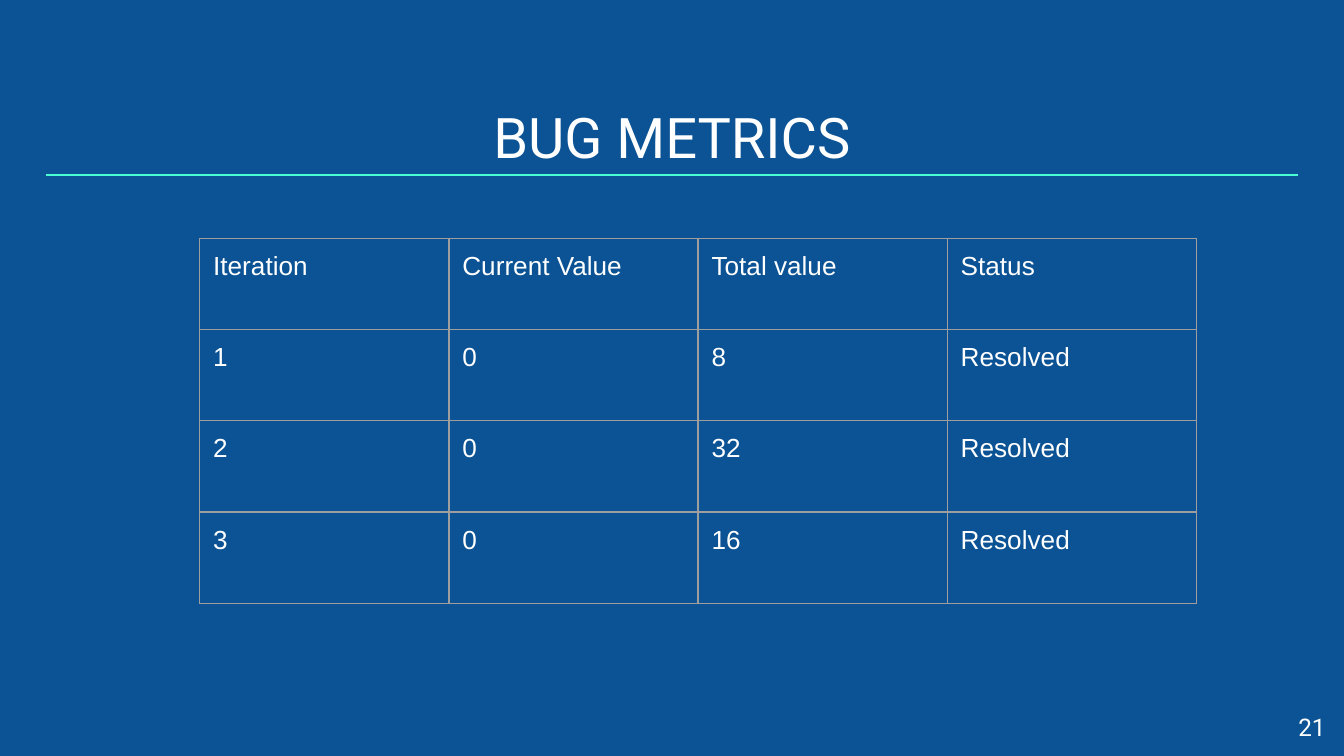
from dataclasses import dataclass

from lxml import etree
from pptx import Presentation
from pptx.dml.color import RGBColor
from pptx.enum.shapes import MSO_CONNECTOR
from pptx.enum.text import MSO_ANCHOR, PP_ALIGN
from pptx.oxml.ns import qn
from pptx.util import Pt

STRAIGHT = MSO_CONNECTOR.STRAIGHT
LEFT, CENTER, RIGHT = PP_ALIGN.LEFT, PP_ALIGN.CENTER, PP_ALIGN.RIGHT
MIDDLE, BOTTOM = MSO_ANCHOR.MIDDLE, MSO_ANCHOR.BOTTOM

BUG_METRICS = [
    ["Iteration", "Current Value", "Total value", "Status"],
    ["1", "0", "8", "Resolved"],
    ["2", "0", "32", "Resolved"],
    ["3", "0", "16", "Resolved"],
]


@dataclass(frozen=True)
class Theme:
    background: str = "0B5394"
    text: str = "FFFFFF"
    accent: str = "48FFD5"
    border: str = "9E9E9E"
    heading_font: str = "Roboto"
    body_font: str = "Arial"
    title_size: float = 30
    table_size: float = 14
    number_size: float = 13
    line_width: float = 0.75
    inset: float = 7.2


class SlideBuilder:
    def __init__(self, slide, theme):
        self.slide = slide
        self.theme = theme
        fill = slide.background.fill
        fill.solid()
        fill.fore_color.rgb = RGBColor.from_string(theme.background)

    def set_insets(self, target):
        for side in ("left", "right", "top", "bottom"):
            setattr(target, f"margin_{side}", Pt(self.theme.inset))

    def add_text(self, paragraph, text, font, size, alignment=LEFT):
        paragraph.alignment = alignment
        run = paragraph.add_run()
        run.text = text
        for name, value in {"name": font, "size": Pt(size)}.items():
            setattr(run.font, name, value)
        run.font.color.rgb = RGBColor.from_string(self.theme.text)

    def text_box(self, text, left, top, width, height, size, alignment, anchor):
        shape = self.slide.shapes.add_textbox(Pt(left), Pt(top), Pt(width), Pt(height))
        frame = shape.text_frame
        frame.word_wrap = True
        frame.vertical_anchor = anchor
        self.set_insets(frame)
        self.add_text(frame.paragraphs[0], text, self.theme.heading_font, size, alignment)

    def rule(self, left, right, top):
        connector = self.slide.shapes.add_connector(
            STRAIGHT, Pt(left), Pt(top), Pt(right), Pt(top))
        connector.line.color.rgb = RGBColor.from_string(self.theme.accent)
        connector.line.width = Pt(self.theme.line_width)
        etree.SubElement(connector._element.spPr, qn("a:effectLst"))

    def cell_borders(self, cell):
        properties = cell._tc.get_or_add_tcPr()
        # Borders must come before the fill in the cell properties
        for position, edge in enumerate(("a:lnL", "a:lnR", "a:lnT", "a:lnB")):
            line = etree.Element(qn(edge), w=str(int(Pt(self.theme.line_width))))
            fill = etree.SubElement(line, qn("a:solidFill"))
            etree.SubElement(fill, qn("a:srgbClr"), val=self.theme.border)
            properties.insert(position, line)

    def table(self, rows, left, top, column_width, row_height):
        row_count, column_count = len(rows), len(rows[0])
        table = self.slide.shapes.add_table(
            row_count, column_count, Pt(left), Pt(top),
            Pt(column_width * column_count), Pt(row_height * row_count)).table
        table.first_row = table.horz_banding = False
        for column in table.columns:
            column.width = Pt(column_width)
        for row, values in zip(table.rows, rows):
            row.height = Pt(row_height)
            for cell, value in zip(row.cells, values):
                cell.fill.background()
                self.set_insets(cell)
                self.cell_borders(cell)
                self.add_text(cell.text_frame.paragraphs[0], value,
                              self.theme.body_font, self.theme.table_size)


def main():
    presentation = Presentation()
    presentation.slide_width, presentation.slide_height = Pt(720), Pt(405)
    theme = Theme()
    blank_layout = presentation.slide_layouts[6]
    builder = SlideBuilder(presentation.slides.add_slide(blank_layout), theme)

    # Title and the rule under it
    builder.text_box("BUG METRICS", 24.5, 50.5, 671, 47.5,
                     theme.title_size, CENTER, BOTTOM)
    builder.rule(24.5, 695.5, 93.7)

    # Bug counts per iteration
    builder.table(BUG_METRICS, left=107, top=127.6, column_width=133.5, row_height=48.9)

    # Slide number
    builder.text_box("21", 674, 373.8, 43.2, 31, theme.number_size, RIGHT, MIDDLE)

    presentation.save("out.pptx")


if __name__ == "__main__":
    main()
